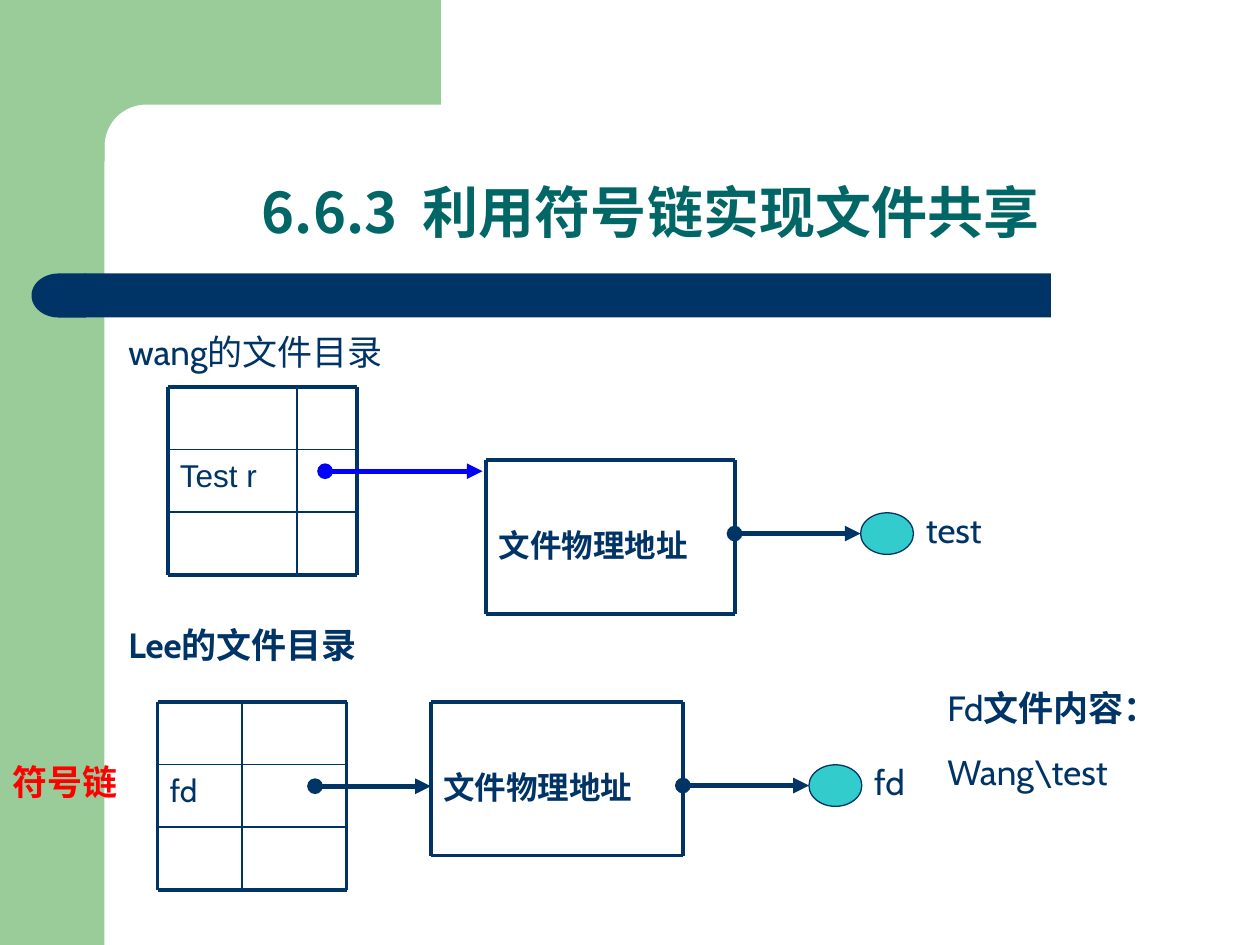
from math import cos, pi, sin

from lxml import etree
from pptx import Presentation
from pptx.dml.color import RGBColor
from pptx.enum.shapes import MSO_CONNECTOR, MSO_SHAPE
from pptx.enum.text import MSO_ANCHOR, PP_ALIGN
from pptx.oxml.ns import qn
from pptx.util import Inches, Pt

STRAIGHT = MSO_CONNECTOR.STRAIGHT
RECTANGLE = MSO_SHAPE.RECTANGLE
DELAY = MSO_SHAPE.FLOWCHART_DELAY
OVAL = MSO_SHAPE.OVAL
MIDDLE, BOTTOM = MSO_ANCHOR.MIDDLE, MSO_ANCHOR.BOTTOM
CENTER = PP_ALIGN.CENTER

COLORS = {
    "green": "99CC99",
    "navy": "003366",
    "title": "006666",
    "teal": "33CCCC",
    "blue": "0000FF",
    "red": "FF0000",
}
CJK_FONT = "Noto Sans CJK SC"


def color(name):
    return RGBColor.from_string(COLORS[name])


def format_run(run, size, font="Cabin", bold=False, ink="navy"):
    run.font.size = Pt(size)
    run.font.name = font
    run.font.bold = bold
    run.font.color.rgb = color(ink)
    east_asian = etree.Element(qn("a:ea"), typeface=CJK_FONT)
    run.font._element.find(qn("a:latin")).addnext(east_asian)


def paint(shape, fill):
    shape.shadow.inherit = False
    shape.fill.solid()
    shape.fill.fore_color.rgb = color(fill)
    shape.line.fill.background()


def add_filled(slide, kind, box, fill):
    shape = slide.shapes.add_shape(kind, *map(Inches, box))
    paint(shape, fill)
    return shape


def add_label(slide, box, text, size=20, **style):
    label = slide.shapes.add_textbox(*map(Inches, box))
    frame = label.text_frame
    frame.word_wrap = True
    frame.text = text
    format_run(frame.paragraphs[0].runs[0], size, **style)
    return frame


def add_line(slide, start, end, width, ink="navy"):
    line = slide.shapes.add_connector(STRAIGHT, *map(Inches, (*start, *end)))
    line.line.width = Pt(width)
    line.line.color.rgb = color(ink)
    etree.SubElement(line._element.spPr, qn("a:effectLst"))
    return line


def add_arrow(slide, start, end, ink="navy"):
    line = add_line(slide, start, end, 3, ink).line._get_or_add_ln()
    etree.SubElement(line, qn("a:headEnd"), type="oval")
    etree.SubElement(line, qn("a:tailEnd"), type="triangle")


def add_frame(slide, box):
    left, top, width, height = box
    right, bottom = left + width, top + height
    for x in (left, right):
        add_line(slide, (x, top), (x, bottom), 2.25)
    for y in (top, bottom):
        add_line(slide, (left, y), (right, y), 2.25)


def add_corner(slide, box):
    left, top, width, height = box
    right, bottom = left + width, top + height
    inner_x, inner_y, radius = left + 0.33, top + 0.83, 0.33
    steps = 16
    angles = [pi / 2 * step / steps for step in range(steps + 1)]
    points = [(right, top), (right, inner_y)]
    points += [
        (inner_x + radius * (1 - sin(angle)), inner_y + radius * (1 - cos(angle)))
        for angle in angles
    ]
    points += [(inner_x, bottom), (left, bottom)]
    builder = slide.shapes.build_freeform(Inches(left), Inches(top))
    builder.add_line_segments([(Inches(x), Inches(y)) for x, y in points])
    paint(builder.convert_to_shape(), "green")


def add_backdrop(slide):
    add_filled(slide, RECTANGLE, (0, 0, 0.83, 7.5), "green")
    add_corner(slide, (0.5, 0, 3, 1.28))
    add_filled(slide, RECTANGLE, (0.67, 2.17, 7.67, 0.35), "navy")
    add_filled(slide, DELAY, (0.25, 2.17, 0.43, 0.35), "navy").rotation = 180


def add_title(slide, box):
    title = slide.shapes.title
    title.left, title.top, title.width, title.height = map(Inches, box)
    frame = title.text_frame
    frame.vertical_anchor = BOTTOM
    paragraph = frame.paragraphs[0]
    paragraph.alignment = CENTER
    paragraph.line_spacing = 0.9
    for text, font in (("6.6.3  ", CJK_FONT), ("利用符号链实现文件共享", "Arial")):
        run = paragraph.add_run()
        run.text = text
        format_run(run, 32, font, True, "title")


def add_directory(slide, box, split, entry, font):
    left, top, width, height = box
    row = height / 3
    add_label(slide, (left, top + row, split, row), entry, 18, font=font)
    add_line(slide, (left + split, top), (left + split, top + height), 1)
    for y in (top + row, top + 2 * row):
        add_line(slide, (left, y), (left + width, y), 1)
    add_frame(slide, box)


def add_address_box(slide, box):
    frame = add_label(slide, box, "文件物理地址", 18, font="Arial", bold=True)
    frame.vertical_anchor = MIDDLE
    frame.margin_top = Inches(0.18)
    add_frame(slide, box)


def add_file(slide, box, name):
    left, top, width, height = box
    middle = top + height / 2
    ellipse = add_filled(slide, OVAL, box, "teal")
    ellipse.line.color.rgb = color("navy")
    ellipse.line.width = Pt(0.75)
    add_label(slide, (left + width, top - 0.08, 0.83, 0.44), name)
    add_arrow(slide, (left - 1, middle), (left, middle))


def add_content_note(slide, box):
    frame = add_label(slide, box, "Fd")
    run = frame.paragraphs[0].add_run()
    run.text = "文件内容："
    format_run(run, 20, bold=True)
    paragraph = frame.add_paragraph()
    paragraph.text = "Wang\\test"
    paragraph.space_before = Pt(12.5)
    format_run(paragraph.runs[0], 20)


def main():
    presentation = Presentation()
    presentation.slide_width = Inches(10)
    presentation.slide_height = Inches(7.5)
    slide = presentation.slides.add_slide(presentation.slide_layouts[5])
    add_backdrop(slide)
    add_title(slide, (0.91, 0.91, 8.51, 1.09))

    add_label(slide, (0.92, 2.57, 2.42, 0.44), "wang的文件目录")
    add_directory(slide, (1.33, 3.07, 1.5, 1.49), 1.03, "Test r", "Arial")
    add_address_box(slide, (3.86, 3.65, 1.97, 1.22))
    add_arrow(slide, (2.58, 3.74), (3.83, 3.74), "blue")
    add_file(slide, (6.83, 4.07, 0.42, 0.33), "test")

    add_label(slide, (0.92, 4.9, 2.42, 0.44), "Lee的文件目录", bold=True)
    add_directory(slide, (1.25, 5.57, 1.5, 1.49), 0.67, "fd", "Cabin")
    add_address_box(slide, (3.42, 5.57, 2, 1.22))
    add_arrow(slide, (2.5, 6.24), (3.42, 6.24))
    add_file(slide, (6.42, 6.07, 0.42, 0.33), "fd")
    add_label(slide, (0, 5.99, 1.33, 0.44), "符号链", bold=True, ink="red")
    add_content_note(slide, (7.42, 5.4, 1.67, 1.28))
    presentation.save("out.pptx")


if __name__ == "__main__":
    main()
